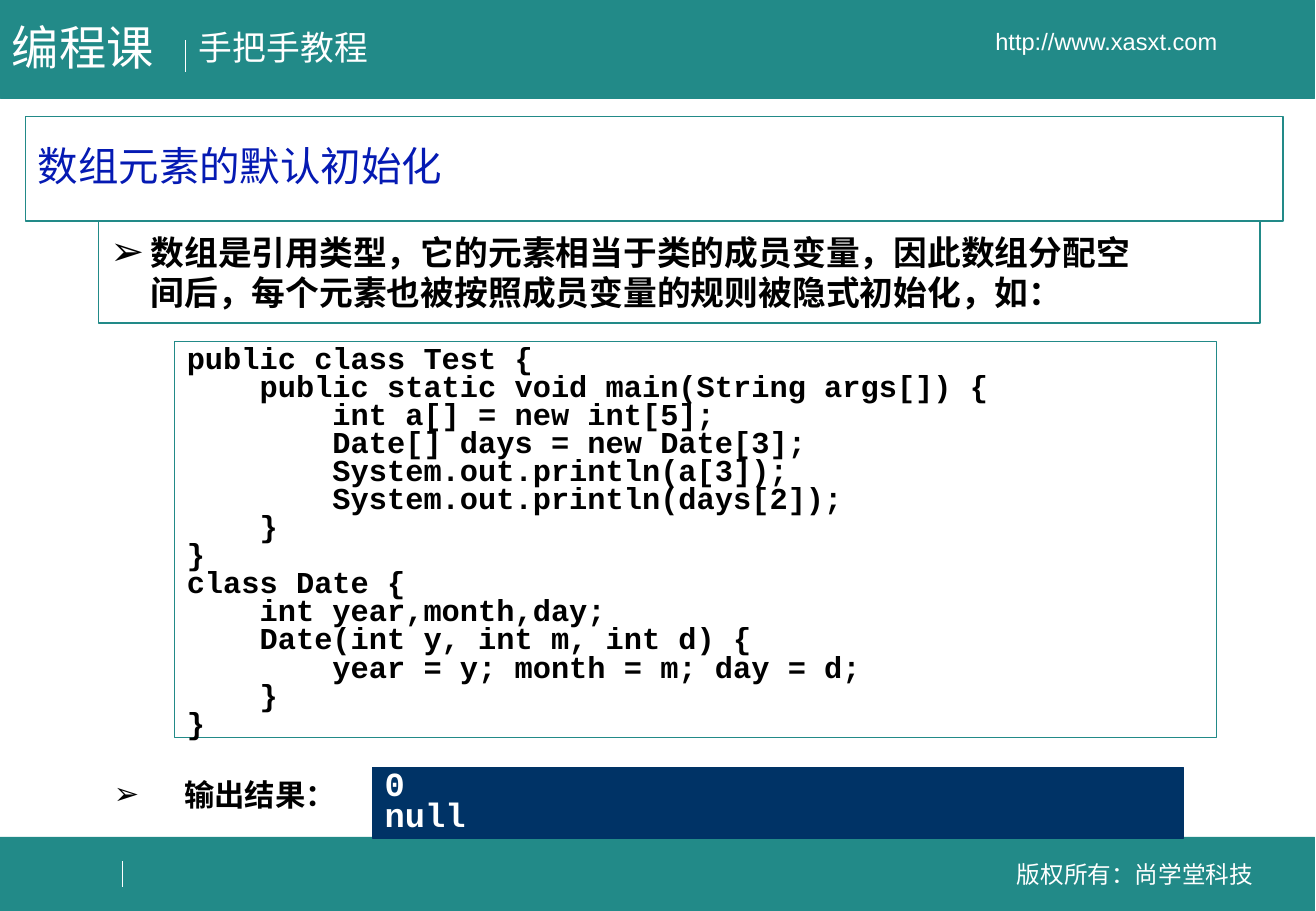
from dataclasses import dataclass

from lxml import etree
from pptx import Presentation
from pptx import util as u
from pptx.dml.color import RGBColor
from pptx.enum import shapes, text
from pptx.oxml import ns


@dataclass(frozen=True)
class Theme:
    teal: str = "228A88"
    navy: str = "003366"
    blue: str = "051AB3"
    white: str = "FFFFFF"
    black: str = "000000"
    sans: str = "Arial"
    serif: str = "Times New Roman"
    mono: str = "Courier New"
    cjk: str = "Noto Sans CJK SC"
    brand: int = 28
    title: int = 24
    body: int = 20
    code: int = 18
    small: int = 14


@dataclass(frozen=True)
class Box:
    left: float
    top: float
    width: float
    height: float

    def inside(self, left, top, width, height):
        return Box(self.left + left, self.top + top, width, height)

    def lengths(self):
        return [u.Inches(n) for n in (self.left, self.top, self.width, self.height)]


THEME = Theme()
CODE = """public class Test {
    public static void main(String args[]) {
        int a[] = new int[5];
        Date[] days = new Date[3];
        System.out.println(a[3]);
        System.out.println(days[2]);
    }
}
class Date {
    int year,month,day;
    Date(int y, int m, int d) {
        year = y; month = m; day = d;
    }
}"""


def color(value):
    return RGBColor.from_string(value)


def outline(shape, value, width=0.75):
    shape.line.color.rgb = color(value)
    shape.line.width = u.Pt(width)


def place(shape, box):
    shape.left, shape.top, shape.width, shape.height = box.lengths()


def add_rectangle(slide, box, fill, line, width=0.75):
    shape = slide.shapes.add_shape(shapes.MSO_SHAPE.RECTANGLE, *box.lengths())
    shape.shadow.inherit = False
    shape.fill.solid()
    shape.fill.fore_color.rgb = color(fill)
    outline(shape, line, width)
    return shape


def add_divider(slide, left, top, bottom):
    ends = [u.Inches(n) for n in (left, top, left, bottom)]
    divider = slide.shapes.add_connector(shapes.MSO_CONNECTOR.STRAIGHT, *ends)
    outline(divider, THEME.white)
    etree.SubElement(divider._element.spPr, ns.qn("a:effectLst"))


def add_bullet(paragraph, hanging, percent=100):
    properties = paragraph._p.get_or_add_pPr()
    properties.set("marL", str(u.Inches(hanging)))
    properties.set("indent", str(-u.Inches(hanging)))
    bullet_color = etree.SubElement(properties, ns.qn("a:buClr"))
    etree.SubElement(bullet_color, ns.qn("a:srgbClr"), val=THEME.black)
    etree.SubElement(properties, ns.qn("a:buSzPct"), val=str(percent * 1000))
    etree.SubElement(properties, ns.qn("a:buFont"), typeface=THEME.sans)
    etree.SubElement(properties, ns.qn("a:buChar"), char="➢")


def write(shape, content, font, size, ink, bold=False, spacing=1.0,
          align=text.PP_ALIGN.LEFT, anchor=text.MSO_ANCHOR.TOP, wrap=True, bullet=None):
    frame = shape.text_frame
    frame.auto_size = text.MSO_AUTO_SIZE.NONE
    frame.word_wrap = wrap
    frame.vertical_anchor = anchor
    frame.text = content
    for paragraph in frame.paragraphs:
        paragraph.alignment = align
        paragraph.line_spacing = spacing
        paragraph.space_before = u.Pt(0)
        if bullet:
            add_bullet(paragraph, *bullet)
        paragraph.font.name = font
        paragraph.font.size = u.Pt(size)
        paragraph.font.bold = bold
        paragraph.font.color.rgb = color(ink)


def add_label(slide, box, content, size, **options):
    label = slide.shapes.add_textbox(*box.lengths())
    write(label, content, THEME.sans, size, THEME.white, **options)


def build_header(slide, box):
    add_rectangle(slide, box, THEME.teal, THEME.teal, 0.25)
    add_divider(slide, box.left + 1.53, box.top + 0.33, box.top + 0.59)
    add_label(slide, box.inside(0, 0.1, 1.36, 0.57), "编程课", THEME.brand, wrap=False)
    add_label(slide, box.inside(1.54, 0.17, 1.59, 0.44), "手把手教程", THEME.body, wrap=False)
    add_label(slide, box.inside(7.4, 0.17, 3.43, 0.34), "http://www.xasxt.com", THEME.small,
              align=text.PP_ALIGN.CENTER, anchor=text.MSO_ANCHOR.MIDDLE)


def build_footer(slide, box):
    add_rectangle(slide, box, THEME.teal, THEME.teal, 0.25)
    add_divider(slide, box.left + 1.01, box.top + 0.2, box.top + 0.41)
    add_label(slide, box.inside(8.09, 0.14, 2.52, 0.34), "版权所有：尚学堂科技", THEME.small,
              align=text.PP_ALIGN.CENTER, anchor=text.MSO_ANCHOR.MIDDLE)


def build_title(slide, box):
    title = slide.shapes.title
    place(title, box)
    outline(title, THEME.teal)
    write(title, "数组元素的默认初始化", THEME.cjk, THEME.title, THEME.blue,
          spacing=0.9, anchor=text.MSO_ANCHOR.MIDDLE)


def build_statement(slide, box):
    body = slide.placeholders[1]
    place(body, box)
    outline(body, THEME.teal)
    write(
        body,
        "数组是引用类型，它的元素相当于类的成员变量，因此数组分配空\v"
        "间后，每个元素也被按照成员变量的规则被隐式初始化，如：",
        THEME.serif, THEME.body, THEME.black, bold=True,
        anchor=text.MSO_ANCHOR.MIDDLE, bullet=(0.33, 120))


def build_code(slide, box):
    listing = add_rectangle(slide, box, THEME.white, THEME.teal)
    write(listing, CODE, THEME.mono, THEME.code, THEME.black, bold=True,
          spacing=u.Pt(16.65))


def build_result(slide, box):
    label = slide.shapes.add_textbox(*box.inside(0, 0.02, 2.26, 0.51).lengths())
    write(label, "输出结果：", THEME.serif, THEME.code, THEME.black, bold=True,
          bullet=(0.58,))
    console = add_rectangle(slide, box.inside(2.23, 0, 6.68, 0.58), THEME.navy, THEME.navy)
    write(console, "0\nnull", THEME.mono, THEME.body, THEME.white, bold=True,
          spacing=0.75, anchor=text.MSO_ANCHOR.MIDDLE)


def main():
    presentation = Presentation()
    presentation.slide_width = u.Inches(10.84)
    presentation.slide_height = u.Inches(7.5)
    slide = presentation.slides.add_slide(presentation.slide_layouts[1])
    build_header(slide, Box(0, 0, 10.83, 0.81))
    build_footer(slide, Box(0, 6.89, 10.83, 0.61))
    build_title(slide, Box(0.21, 0.96, 10.36, 0.86))
    build_statement(slide, Box(0.81, 1.82, 9.57, 0.84))
    build_code(slide, Box(1.44, 2.81, 8.58, 3.26))
    build_result(slide, Box(0.84, 6.32, 8.91, 0.58))
    presentation.save("out.pptx")


if __name__ == "__main__":
    main()
